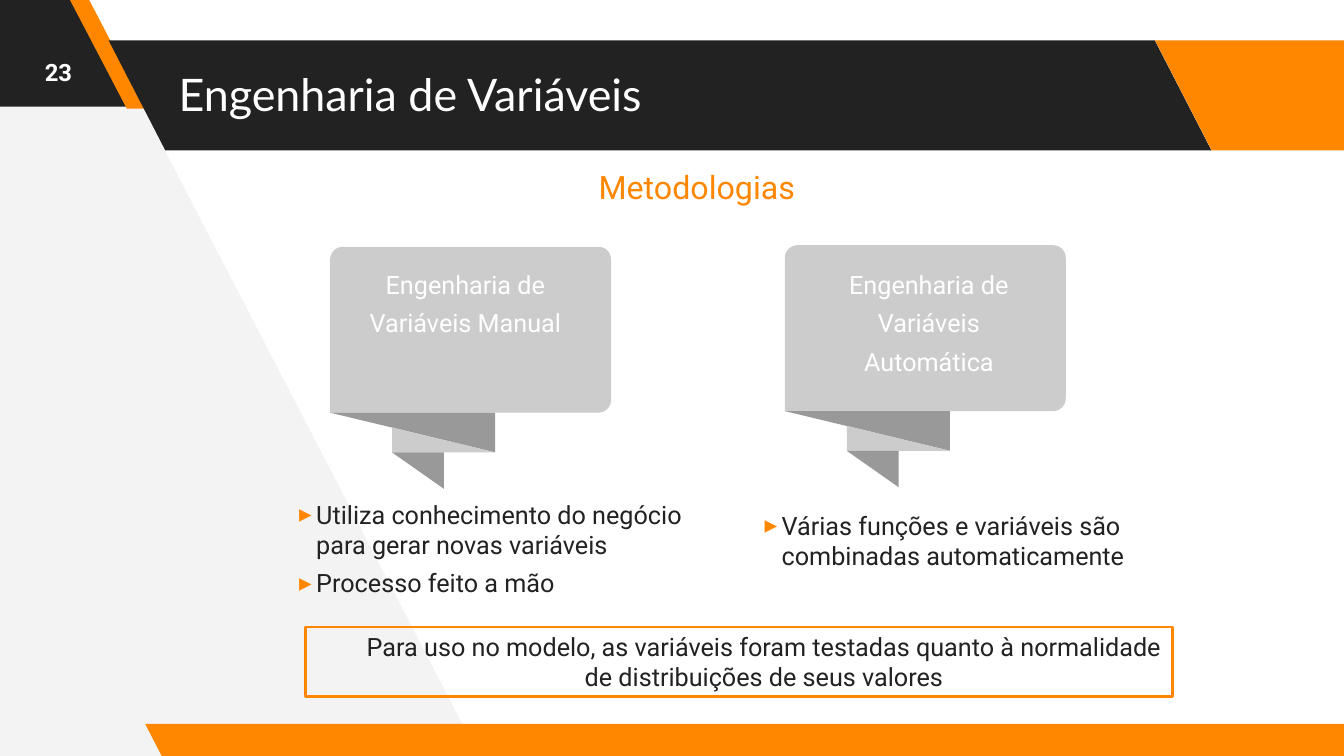
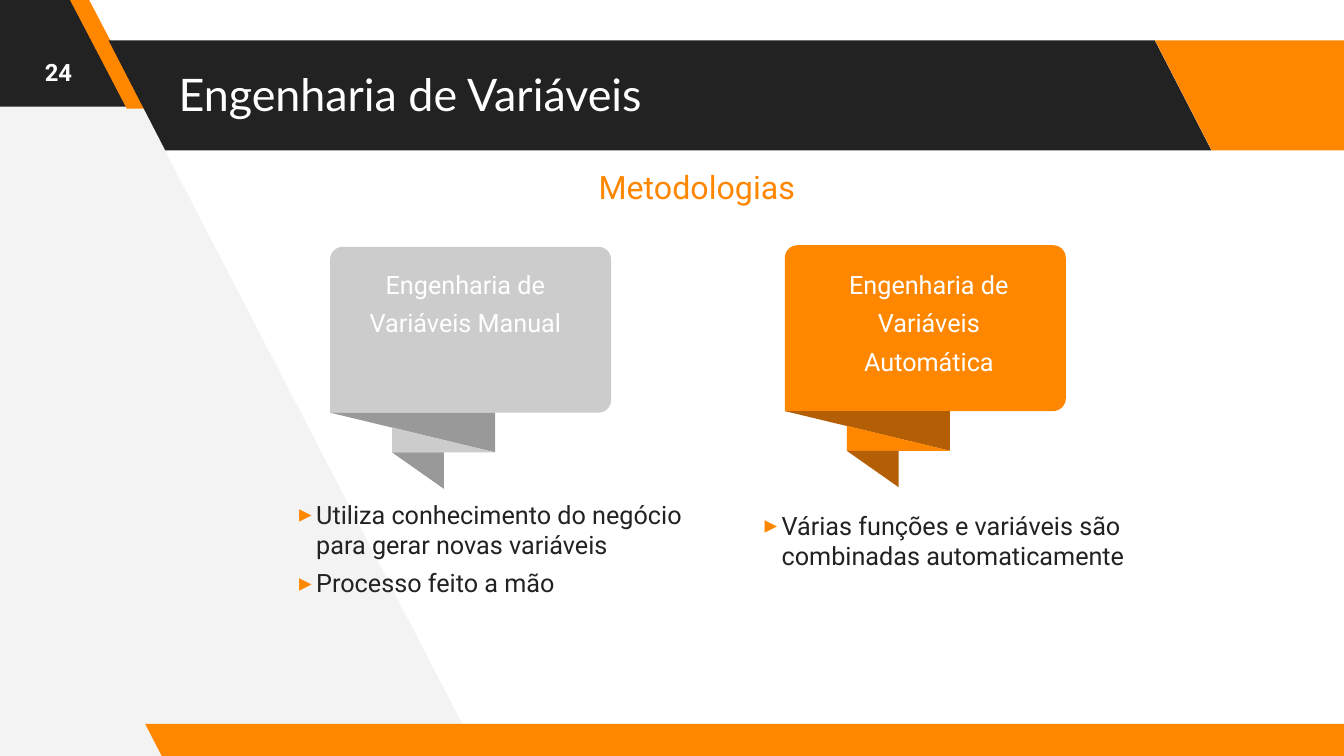
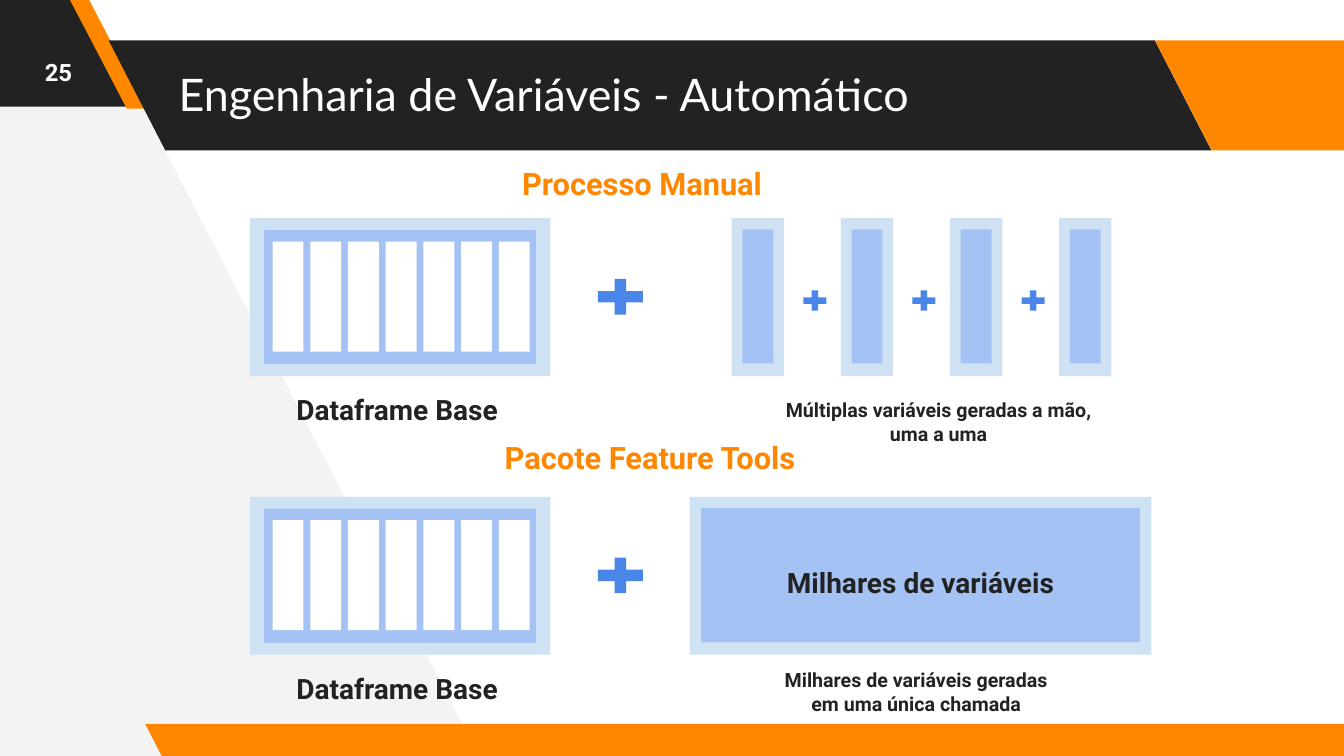
from dataclasses import dataclass
from math import cos, pi, sin

from lxml import etree
from pptx import Presentation
from pptx.dml.color import RGBColor
from pptx.enum.shapes import MSO_SHAPE
from pptx.enum.text import MSO_ANCHOR, MSO_AUTO_SIZE, PP_ALIGN
from pptx.oxml.ns import qn
from pptx.util import Cm, Pt

RECTANGLE = MSO_SHAPE.RECTANGLE
PARALLELOGRAM = MSO_SHAPE.PARALLELOGRAM
PLUS = MSO_SHAPE.MATH_PLUS
LEFT, CENTER = PP_ALIGN.LEFT, PP_ALIGN.CENTER
TOP, MIDDLE = MSO_ANCHOR.TOP, MSO_ANCHOR.MIDDLE
TITLE_ONLY = 5


@dataclass(frozen=True)
class Theme:
    dark: str = "222222"
    orange: str = "FF8700"
    brown: str = "B45F06"
    pale: str = "F3F3F3"
    gray: str = "CCCCCC"
    dark_gray: str = "999999"
    white: str = "FFFFFF"
    sky: str = "CFE2F3"
    blue: str = "A4C2F4"
    strong_blue: str = "4A86E8"
    title_font: str = "Lato"
    body_font: str = "Roboto"
    title_size: int = 32
    subtitle_size: int = 23
    heading_size: int = 22
    label_size: int = 20
    body_size: int = 18
    number_size: int = 17
    caption_size: int = 14


THEME = Theme()
GRAY_RIBBON = (THEME.gray, THEME.dark_gray)
ORANGE_RIBBON = (THEME.orange, THEME.brown)


# Basic parts; every box is (left, top, width, height) in centimetres
def paint(shape, fill=None, line=None):
    shape.shadow.inherit = False
    if fill:
        shape.fill.solid()
        shape.fill.fore_color.rgb = RGBColor.from_string(fill)
    else:
        shape.fill.background()
    if line:
        shape.line.color.rgb = RGBColor.from_string(line)
        shape.line.width = Pt(2)
    else:
        shape.line.fill.background()
    return shape


def add_box(slide, kind, box, fill=None, line=None):
    shape = slide.shapes.add_shape(kind, *(Cm(value) for value in box))
    return paint(shape, fill, line)


def add_polygon(slide, points, fill):
    corners = [(Cm(x), Cm(y)) for x, y in points]
    builder = slide.shapes.build_freeform(*corners[0])
    builder.add_line_segments(corners[1:], close=True)
    return paint(builder.convert_to_shape(), fill)


def add_bullet(paragraph):
    properties = paragraph._p.get_or_add_pPr()
    properties.set("marL", str(Cm(0.48)))
    properties.set("indent", str(Cm(-0.43)))
    color = etree.SubElement(properties, qn("a:buClr"))
    etree.SubElement(color, qn("a:srgbClr"), val=THEME.orange)
    etree.SubElement(properties, qn("a:buFont"), typeface=THEME.body_font)
    etree.SubElement(properties, qn("a:buChar"), char="▸")


def write_text(shape, lines, size=THEME.body_size, color=THEME.dark, font=THEME.body_font,
               bold=False, align=CENTER, anchor=TOP, insets=(0.25, 0.25, 0.25, 0.25),
               gap=0, bullets=False, indent=0):
    frame = shape.text_frame
    frame.word_wrap = True
    frame.auto_size = MSO_AUTO_SIZE.NONE
    frame.vertical_anchor = anchor
    (frame.margin_left, frame.margin_top,
     frame.margin_right, frame.margin_bottom) = (Cm(inset) for inset in insets)
    for index, line in enumerate(lines):
        paragraph = frame.add_paragraph() if index else frame.paragraphs[0]
        if bullets:
            add_bullet(paragraph)
        elif indent:
            paragraph._p.get_or_add_pPr().set("marL", str(Cm(indent)))
        paragraph.alignment = align
        if index and gap:
            paragraph.space_before = Pt(gap)
        run = paragraph.add_run()
        run.text = line
        run.font.name = font
        run.font.size = Pt(size)
        run.font.bold = bold
        run.font.color.rgb = RGBColor.from_string(color)


def add_text(slide, box, lines, **text_format):
    shape = slide.shapes.add_textbox(*(Cm(value) for value in box))
    write_text(shape, lines, **text_format)


# Shared frame: bands on the layout, title and number on each slide
def decorate_layout(layout, slide):
    for placeholder in list(layout.placeholders)[1:]:
        placeholder.element.getparent().remove(placeholder.element)
    parts = [add_polygon(slide, [(12.07, 19.05), (2.11, -0.15), (-0.2, -0.13), (-0.08, 19.18)],
                         THEME.pale)]
    bands = [
        ((-3.35, -0.08, 6.53, 2.77), THEME.dark, 0.515),
        ((1.75, -0.03, 1.93, 2.77), THEME.orange, 0.75),
        ((2.74, 1.02, 27.79, 2.77), THEME.dark, 0.515),
        ((29.11, 1.02, 6.53, 2.77), THEME.orange, 0.515),
        ((3.66, 18.24, 30.99, 0.84), THEME.orange, 0.515),
    ]
    for box, fill, slant in bands:
        band = add_box(slide, PARALLELOGRAM, box, fill)
        band.adjustments[0] = slant
        band.element.spPr.get_or_add_xfrm().set("flipH", "1")
        parts.append(band)
    title = layout.placeholders[0].element
    for part in parts:
        title.addprevious(part.element)


def new_slide(presentation, number, title):
    slide = presentation.slides.add_slide(presentation.slide_layouts[TITLE_ONLY])
    insets = (0.33, 0.33, 0.33, 0.33)
    heading = slide.shapes.title
    heading.left, heading.top, heading.width, heading.height = Cm(4.17), Cm(0.51), Cm(29), Cm(3.71)
    write_text(heading, [title], size=THEME.title_size, font=THEME.title_font,
               color=THEME.white, align=LEFT, anchor=MIDDLE, insets=insets)
    add_text(slide, (0, 0, 2.95, 3.61), [str(number)], size=THEME.number_size,
             color=THEME.white, bold=True, anchor=MIDDLE, insets=insets)
    return slide


# Speech ribbon: body with one square corner and a folded tail
def add_ribbon(slide, left, top, colors):
    light, shade = colors
    width, height, radius, steps = 7.08, 4.18, 0.32, 8
    base = top + height
    fold = base + 1
    outline = [(left, base)]
    corners = [(left + radius, top + radius, pi),
               (left + width - radius, top + radius, 1.5 * pi),
               (left + width - radius, base - radius, 0)]
    for x, y, start in corners:
        angles = [start + step * pi / 2 / steps for step in range(steps + 1)]
        outline += [(x + radius * cos(angle), y + radius * sin(angle)) for angle in angles]
    add_polygon(slide, outline, light)
    inner, tail, end = left + 1.56, left + 2.87, left + 4.16
    add_polygon(slide, [(left, base), (end, base), (end, fold)], shade)
    add_polygon(slide, [(inner, fold), (end, fold), (inner, base + 0.37)], light)
    add_polygon(slide, [(inner, fold), (tail, fold), (tail, fold + 0.92)], shade)


def add_method(slide, ribbon_at, name_left, name, points_at, points, colors):
    add_ribbon(slide, *ribbon_at, colors)
    add_text(slide, (name_left, 6.53, 7.26, 2.46), name, color=THEME.white, gap=6)
    add_text(slide, (*points_at, 10.31, 2.92), points, align=LEFT, gap=6, bullets=True)


def methods_slide(presentation, number, automatic_colors, note=None):
    slide = new_slide(presentation, number, "Engenharia de Variáveis")
    add_text(slide, (11.38, 3.96, 12.37, 1.9), ["Metodologias"],
             size=THEME.subtitle_size, color=THEME.orange)
    add_method(slide, (8.32, 6.22), 8.1, ["Engenharia de", "Variáveis Manual"], (7.24, 12.32),
               ["Utiliza conhecimento do negócio para gerar novas variáveis",
                "Processo feito a mão"], GRAY_RIBBON)
    add_method(slide, (19.78, 6.18), 19.78, ["Engenharia de", "Variáveis", "Automática"],
               (18.97, 12.6), ["Várias funções e variáveis são combinadas automaticamente"],
               automatic_colors)
    if note:
        frame = add_box(slide, RECTANGLE, (7.7, 15.8, 21.84, 1.75), line=THEME.orange)
        write_text(frame, [note], anchor=MIDDLE, insets=(0.25, 0.13, 0.25, 0.13), indent=1.27)


# Table diagrams
PANEL_HEIGHT = 3.98


def add_panel(slide, left, top, width, inset, inset_top=0.28):
    add_box(slide, RECTANGLE, (left, top, width, PANEL_HEIGHT), THEME.sky)
    inner = (left + inset, top + inset_top, width - 2 * inset, 3.38)
    return add_box(slide, RECTANGLE, inner, THEME.blue)


def add_plus(slide, left, top, width, height):
    add_box(slide, PLUS, (left, top, width, height), THEME.strong_blue)


def add_base_table(slide, left, top):
    add_panel(slide, left, top, 7.57, inset=0.36, inset_top=0.3)
    for column in range(7):
        box = (left + 0.57 + column * 0.95, top + 0.59, 0.78, 2.77)
        add_box(slide, RECTANGLE, box, THEME.white)
    add_text(slide, (left + 0.08, top + 4.14, 7.26, 1.04), ["Dataframe Base"],
             size=THEME.label_size, bold=True)


def add_manual_columns(slide, left, top, count=4, pitch=2.75):
    for column in range(count):
        start = left + column * pitch
        add_panel(slide, start, top, 1.32, inset=0.27)
        if column < count - 1:
            add_plus(slide, start + 1.7, top + 1.73, 0.79, 0.69)


def add_generated_block(slide, left, top):
    block = add_panel(slide, left, top, 11.64, inset=0.29)
    write_text(block, ["Milhares de variáveis"], size=THEME.label_size, bold=True,
               anchor=MIDDLE, insets=(0.25, 0.35, 0.25, 0))


def add_process(slide, top, heading, heading_box, add_result, result_left, caption, caption_box):
    add_text(slide, heading_box, [heading], size=THEME.heading_size,
             color=THEME.orange, bold=True)
    add_base_table(slide, 6.3, top)
    add_plus(slide, 14.86, top + 1.37, 1.55, 1.22)
    add_result(slide, result_left, top)
    add_text(slide, caption_box, [caption], size=THEME.caption_size, bold=True)


def comparison_slide(presentation, number):
    slide = new_slide(presentation, number, "Engenharia de Variáveis - Automático")
    add_process(slide, 5.5, "Processo Manual", (9.32, 3.89, 13.72, 1.75),
                add_manual_columns, 18.44,
                "Múltiplas variáveis geradas a mão, uma a uma", (19.02, 9.78, 9.27, 1.04))
    add_process(slide, 12.52, "Pacote Feature Tools", (9.52, 10.8, 13.72, 1.75),
                add_generated_block, 17.38,
                "Milhares de variáveis geradas em uma única chamada", (19.46, 16.59, 7.26, 1.04))


def main():
    presentation = Presentation()
    presentation.slide_width, presentation.slide_height = Cm(33.87), Cm(19.05)
    methods_slide(presentation, 23, GRAY_RIBBON,
                  note="Para uso no modelo, as variáveis foram testadas quanto à normalidade "
                       "de distribuições de seus valores")
    methods_slide(presentation, 24, ORANGE_RIBBON)
    comparison_slide(presentation, 25)
    decorate_layout(presentation.slide_layouts[TITLE_ONLY], presentation.slides[0])
    presentation.save("out.pptx")


if __name__ == "__main__":
    main()
